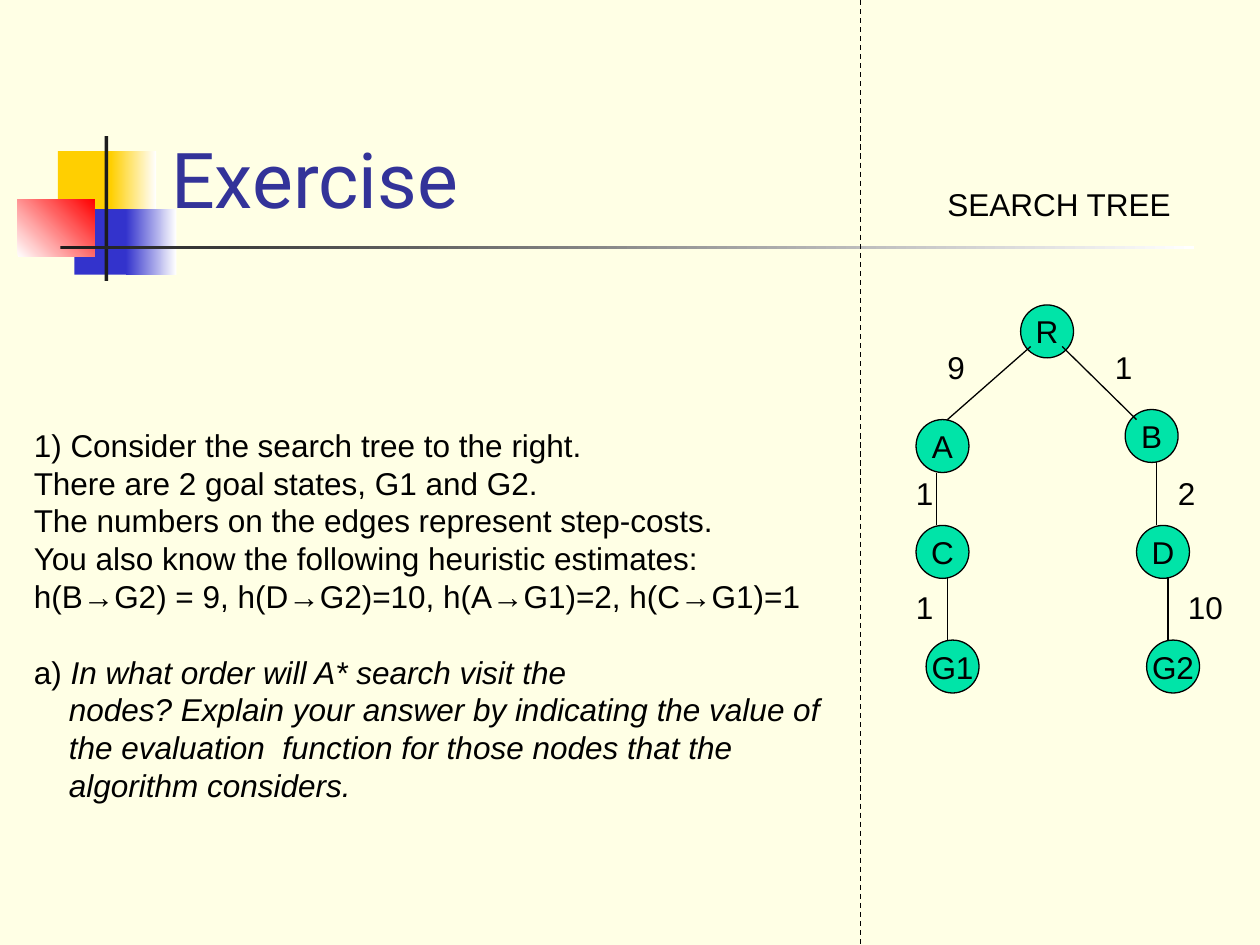
"""Build the search tree exercise slide."""
from dataclasses import dataclass

from lxml import etree
from pptx import Presentation
from pptx.dml.color import RGBColor as Rgb
from pptx.enum.dml import MSO_LINE as Dash
from pptx.enum.shapes import MSO_CONNECTOR as Connector, MSO_SHAPE as Shape
from pptx.enum.text import MSO_ANCHOR as Anchor, PP_ALIGN as Align
from pptx.oxml.ns import qn
from pptx.util import Inches, Pt


@dataclass(frozen=True)
class Theme:
    background: str = "FFFFE5"
    ink: str = "000000"
    title: str = "333399"
    node: str = "00E4A8"
    yellow: str = "FFCF01"
    blue: str = "3333CC"
    red: str = "FF0000"
    white: str = "FFFFFF"
    bar: str = "1C1C1C"
    body_font: str = "Arial"
    title_font: str = "Roboto"
    body_size: float = 18
    title_size: float = 44
    line_pitch: float = 21.6
    hanging: float = 20
    line_width: float = 0.75
    node_size: float = 0.42


class SlideBuilder:
    def __init__(self, deck, theme):
        self.theme = theme
        self.page = deck.slides.add_slide(deck.slide_layouts[6])
        fill = self.page.background.fill
        fill.solid()
        fill.fore_color.rgb = Rgb.from_string(theme.background)

    def set_font(self, para, name=None, size=None, color=None):
        para.font.name = name or self.theme.body_font
        para.font.size = Pt(size or self.theme.body_size)
        para.font.color.rgb = Rgb.from_string(color or self.theme.ink)

    def shape(self, kind, place, color):
        shape = self.page.shapes.add_shape(kind, *map(Inches, place))
        shape.shadow.inherit = False
        shape.line.fill.background()
        shape.fill.solid()
        shape.fill.fore_color.rgb = Rgb.from_string(color)
        return shape

    def block(self, place, color):
        return self.shape(Shape.RECTANGLE, place, color)

    def fade(self, place, start, end, angle=0):
        fill = self.block(place, start).fill
        fill.gradient()
        fill.gradient_angle = angle
        for stop, color, position in zip(fill.gradient_stops, (start, end), (0, 1)):
            stop.color.rgb = Rgb.from_string(color)
            stop.position = position

    def node(self, name, left, top):
        size = self.theme.node_size
        oval = self.shape(Shape.OVAL, (left, top, size, size), self.theme.node)
        oval.line.color.rgb = Rgb.from_string(self.theme.ink)
        oval.line.width = Pt(self.theme.line_width)
        frame = oval.text_frame
        frame.word_wrap = False
        frame.vertical_anchor = Anchor.MIDDLE
        para = frame.paragraphs[0]
        para.text = name
        para.alignment = Align.CENTER
        self.set_font(para)

    def line(self, start, end, dash=None):
        line = self.page.shapes.add_connector(
            Connector.STRAIGHT, *map(Inches, (*start, *end)))
        line.line.color.rgb = Rgb.from_string(self.theme.ink)
        line.line.width = Pt(self.theme.line_width)
        if dash:
            line.line.dash_style = dash
        etree.SubElement(line._element.spPr, qn("a:effectLst"))

    def frame(self, place, wrap=False):
        box = self.page.shapes.add_textbox(*map(Inches, place))
        box.text_frame.word_wrap = wrap
        return box.text_frame

    def label(self, text, left, top, width=0.34):
        para = self.frame((left, top, width, 0.4)).paragraphs[0]
        para.text = text
        self.set_font(para)

    def title(self, text, place):
        frame = self.frame(place, wrap=True)
        frame.vertical_anchor = Anchor.BOTTOM
        para = frame.paragraphs[0]
        para.text = text
        theme = self.theme
        self.set_font(para, theme.title_font, theme.title_size, theme.title)

    def exercise(self, place, statements, mark, question):
        theme = self.theme
        frame = self.frame(place, wrap=True)
        frame.text = "\n".join(statements)
        task = frame.add_paragraph()
        task.space_before = Pt(theme.line_pitch)
        properties = task._p.get_or_add_pPr()
        properties.set("marL", str(Pt(theme.hanging)))
        properties.set("indent", str(-Pt(theme.hanging)))
        task.add_run().text = mark
        for index, text in enumerate(question):
            if index:
                task.add_line_break()
            span = task.add_run()
            span.text = text
            span.font.italic = True
        for para in frame.paragraphs:
            para.line_spacing = Pt(theme.line_pitch)
            self.set_font(para)


STATEMENTS = (
    "1) Consider the search tree to the right.",
    "There are 2 goal states, G1 and G2.",
    "The numbers on the edges represent step-costs.",
    "You also know the following heuristic estimates:",
    "h(B→G2) = 9, h(D→G2)=10, h(A→G1)=2, h(C→G1)=1",
)
QUESTION = (
    "In what order will A* search visit the",
    "nodes? Explain your answer by indicating the value of",
    "the evaluation  function for those nodes that the",
    "algorithm considers.",
)
NODES = (
    ("G1", 7.35, 5.08), ("G2", 9.1, 5.08), ("C", 7.27, 4.17), ("D", 9.02, 4.17),
    ("A", 7.27, 3.33), ("B", 8.93, 3.25), ("R", 8.1, 2.42),
)
EDGES = (
    ((8.18, 2.75), (7.52, 3.33)), ((8.43, 2.75), (9.02, 3.33)),
    ((7.43, 3.75), (7.43, 4.17)), ((7.52, 4.58), (7.52, 5.08)),
    ((9.18, 3.67), (9.18, 4.17)), ((9.27, 4.58), (9.27, 5.08)),
)
COSTS = (
    ("1", 8.75, 2.71), ("2", 9.25, 3.71), ("10", 9.33, 4.62, 0.48),
    ("9", 7.42, 2.71), ("1", 7.17, 3.71), ("1", 7.17, 4.62),
)


def main():
    deck = Presentation()
    deck.slide_width, deck.slide_height = Inches(10), Inches(7.5)
    theme = Theme()
    slide = SlideBuilder(deck, theme)

    slide.block((0.46, 1.2, 0.48, 0.52), theme.yellow)
    slide.fade((0.88, 1.2, 0.36, 0.52), theme.yellow, theme.white)
    slide.block((0.59, 1.66, 0.46, 0.52), theme.blue)
    slide.fade((1, 1.66, 0.4, 0.52), theme.blue, theme.white)
    slide.fade((0.14, 1.58, 0.61, 0.46), theme.white, theme.red, angle=45)
    slide.block((0.83, 1.08, 0.03, 1.15), theme.bar)
    slide.fade((0.48, 1.95, 9, 0.03), theme.bar, theme.white)

    slide.label("SEARCH TREE", 7.42, 1.42, 1.98)
    slide.exercise((0.17, 3.33, 6.6, 3.1), STATEMENTS, "a) ", QUESTION)
    for node in NODES:
        slide.node(*node)
    for edge in EDGES:
        slide.line(*edge)
    for cost in COSTS:
        slide.label(*cost)
    slide.line((6.83, 0), (6.83, 7.5), Dash.DASH)
    slide.title("Exercise", (1.26, 0.23, 8.52, 1.6))
    deck.save("out.pptx")


if __name__ == "__main__":
    main()
